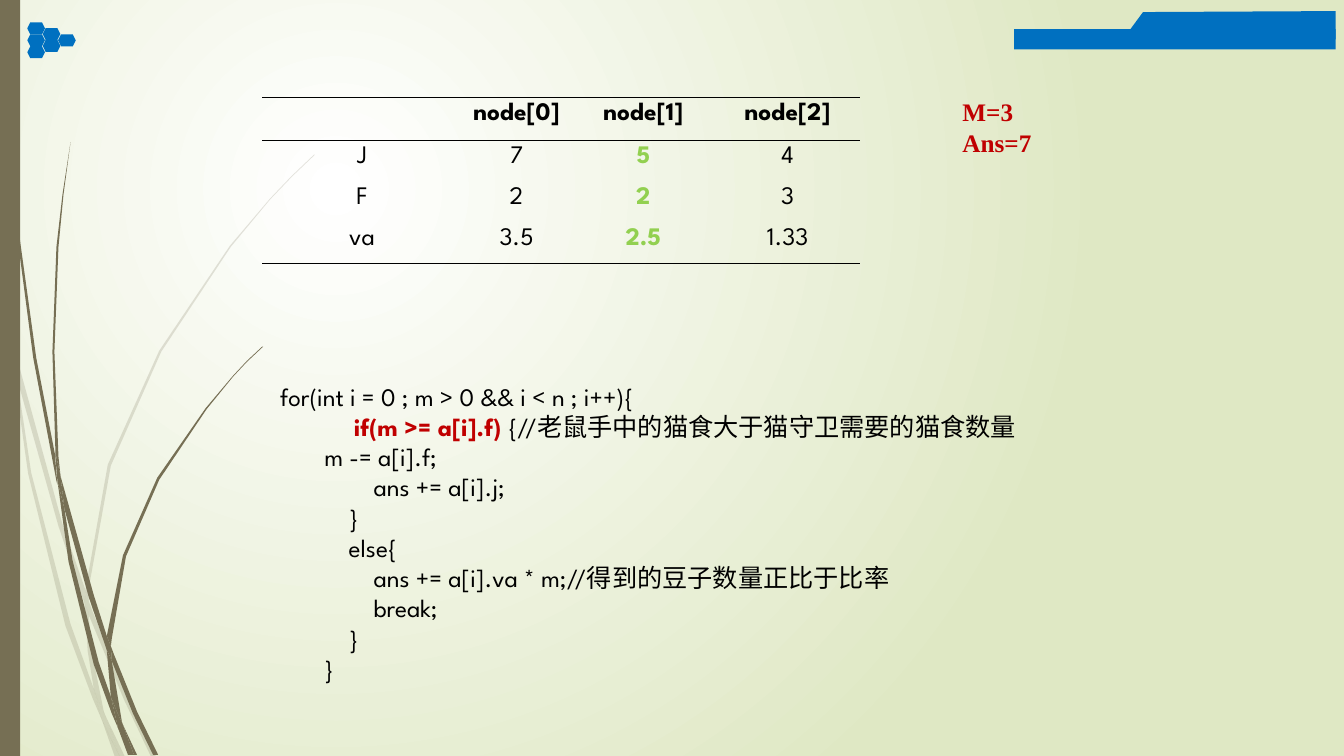
from lxml import etree
from pptx import Presentation
from pptx import util as u
from pptx.dml.color import RGBColor
from pptx.enum import shapes, text
from pptx.oxml import ns

Pt = u.Pt
BLACK = RGBColor(0x00, 0x00, 0x00)
WHITE = RGBColor(0xFF, 0xFF, 0xFF)
PALE_GREEN = RGBColor(0xDF, 0xE8, 0xC4)
BROWN = RGBColor(0x76, 0x6F, 0x54)
BLUE = RGBColor(0x00, 0x70, 0xC0)
RED = RGBColor(0xC0, 0x00, 0x00)
GREEN = RGBColor(0x92, 0xD0, 0x50)
SPARTAN = "League Spartan"
TIMES = "Times New Roman"
GRID = Pt(0.72)

PALE_GRASS = [
    [(11, 350), (9, 322), (0, 282), (0, 299), (10, 344)],
    [(58, 522), (84, 599), (85, 586), (62, 520), (14, 345), (17, 376)],
    [(92, 607), (88, 596), (88, 610), (123, 694), (150, 751), (155, 751), (127, 692)],
    [(119, 751), (124, 751), (105, 711)],
    [(93, 683), (70, 619), (31, 469), (17, 376), (11, 350), (28, 470), (65, 621),
     (92, 693), (101, 714), (99, 707)],
    [(84, 599), (87, 646), (93, 683), (96, 692), (105, 711), (103, 706), (91, 646),
     (88, 610), (88, 608)],
    [(88, 584), (110, 462), (160, 349), (229, 245), (268, 198), (290, 175), (312, 154),
     (312, 153), (289, 175), (268, 197), (228, 244), (158, 348), (107, 461), (85, 584),
     (85, 586), (88, 596)],
    [(101, 714), (114, 751), (119, 751)],
    [(88, 608), (88, 610), (88, 596), (85, 586), (84, 599)],
    [(96, 692), (93, 683), (99, 707), (101, 714), (119, 751), (105, 711)],
]
DARK_GRASS = [
    [(7, 110), (17, 233), (33, 355), (56, 477), (57, 481), (55, 457), (55, 453),
     (36, 355), (19, 232), (8, 109), (5, 48), (4, 0), (3, 0), (4, 48)],
    [(88, 592), (106, 645), (106, 633), (106, 631), (93, 590), (60, 472), (64, 505)],
    [(113, 649), (110, 641), (111, 656), (132, 708), (152, 749), (157, 749), (136, 706)],
    [(110, 691), (98, 657), (72, 556), (64, 505), (57, 477), (68, 557), (93, 659),
     (111, 708), (117, 722), (116, 717)],
    [(60, 472), (58, 453), (54, 349), (58, 245), (63, 193), (70, 141), (62, 193),
     (56, 245), (52, 349), (55, 449)],
    [(133, 749), (136, 749), (122, 719)],
    [(57, 477), (64, 505), (60, 472), (55, 449), (55, 453)],
    [(111, 633), (125, 552), (158, 476), (205, 406), (231, 374), (245, 359), (261, 344),
     (260, 344), (245, 358), (231, 373), (204, 405), (156, 474), (122, 551), (106, 631),
     (110, 641)],
    [(117, 722), (127, 749), (131, 749)],
    [(106, 645), (110, 691), (116, 706), (122, 719), (121, 716), (111, 656), (109, 651)],
    [(106, 645), (109, 651), (111, 656), (110, 641), (106, 631), (106, 633)],
    [(116, 706), (110, 691), (116, 717), (117, 722), (130, 749), (133, 749), (122, 719)],
]
BANNER_TAB = [(1325, 39), (1325, 11), (1134, 12), (1114, 39)]
HEXAGONS = [(19.5, 16), (19.5, 24.5), (19.5, 33), (30.5, 20), (30.5, 28.5), (41.5, 24.5)]

NODES = [
    ["", "node[0]", "node[1]", "node[2]"],
    ["J", "7", "5", "4"],
    ["F", "2", "2", "3"],
    ["va", "3.5", "2.5", "1.33"],
]
RESULT = [[("M=3", RED)], [("Ans=7", RED)]]
CODE = [
    [(" for(int i = 0 ; m > 0 && i < n ; i++){", BLACK)],
    [("            if(m >= a[i].f) ", RED), ("{//老鼠手中的猫食大于猫守卫需要的猫食数量", BLACK)],
    [("\tm -= a[i].f;", BLACK)],
    [("                ans += a[i].j;", BLACK)],
    [("            }", BLACK)],
    [("            else{", BLACK)],
    [("                ans += a[i].va * m;//得到的豆子数量正比于比率", BLACK)],
    [("                break;", BLACK)],
    [("            }", BLACK)],
    [("        }", BLACK)],
]


def paint_background(slide):
    fill = slide.background.fill
    fill.gradient()
    for stop, color in zip(fill.gradient_stops, (WHITE, PALE_GREEN)):
        stop.color.rgb = color
    gradient = slide.element.find(".//" + ns.qn("a:gradFill"))
    gradient.remove(gradient.find(ns.qn("a:lin")))
    circle = etree.SubElement(gradient, ns.qn("a:path"), path="circle")
    etree.SubElement(circle, ns.qn("a:fillToRect"),
                     l="50000", t="50000", r="100000", b="100000")


def paint(shape, color, opacity=100):
    shape.shadow.inherit = False
    shape.fill.solid()
    shape.fill.fore_color.rgb = color
    shape.line.fill.background()
    if opacity < 100:
        tint = shape.element.spPr.find(".//" + ns.qn("a:srgbClr"))
        etree.SubElement(tint, ns.qn("a:alpha"), val=str(opacity * 1000))


def add_outline(parent, points, color, opacity=100):
    builder = parent.shapes.build_freeform(*points[0], scale=GRID)
    builder.add_line_segments(points[1:], close=True)
    paint(builder.convert_to_shape(), color, opacity)


def add_grass(slide, blades, opacity):
    clump = slide.shapes.add_group_shape()
    for blade in blades:
        add_outline(clump, blade, BROWN, opacity)


def add_block(parent, kind, left, top, width, height, color):
    block = parent.shapes.add_shape(kind, Pt(left), Pt(top), Pt(width), Pt(height))
    paint(block, color)


def style_run(run, font, color, bold):
    run.font.name = font
    run.font.size = Pt(18)
    run.font.bold = bold
    run.font.color.rgb = color


def add_text(slide, left, top, width, height, lines, font, wrap):
    box = slide.shapes.add_textbox(Pt(left), Pt(top), Pt(width), Pt(height))
    frame = box.text_frame
    frame.word_wrap = wrap
    frame.auto_size = text.MSO_AUTO_SIZE.SHAPE_TO_FIT_TEXT
    for index, line in enumerate(lines):
        paragraph = frame.add_paragraph() if index else frame.paragraphs[0]
        for words, color in line:
            run = paragraph.add_run()
            run.text = words
            style_run(run, font, color, color == RED)


def add_rule(cell, side):
    rule = etree.SubElement(cell._tc.get_or_add_tcPr(), ns.qn("a:" + side), w=str(Pt(1)))
    fill = etree.SubElement(rule, ns.qn("a:solidFill"))
    etree.SubElement(fill, ns.qn("a:srgbClr"), val=str(BLACK))


def add_node_table(slide):
    frame = slide.shapes.add_table(4, 4, Pt(187.2), Pt(69.8), Pt(427), Pt(118.5))
    table = frame.table
    table.first_row = table.horz_banding = False
    style = frame.element.find(".//" + ns.qn("a:tableStyleId"))
    style.text = "{2D5ABB26-0587-4C30-8999-92F81FD0307C}"
    for column, width in zip(table.columns, (142.8, 78, 103.1, 103.1)):
        column.width = Pt(width)
    for row, height in zip(table.rows, (30.5, 29.3, 29.3, 29.3)):
        row.height = Pt(height)
    for r, values in enumerate(NODES):
        for c, value in enumerate(values):
            cell = table.cell(r, c)
            for side in {0: ("lnT", "lnB"), 3: ("lnB",)}.get(r, ()):
                add_rule(cell, side)
            cell.fill.background()
            cell.text_frame.text = value
            paragraph = cell.text_frame.paragraphs[0]
            paragraph.alignment = text.PP_ALIGN.CENTER
            chosen = r > 0 and c == 2
            for run in paragraph.runs:
                style_run(run, SPARTAN, GREEN if chosen else BLACK, r == 0 or chosen)


def main():
    deck = Presentation()
    deck.slide_width, deck.slide_height = Pt(960), Pt(540)
    slide = deck.slides.add_slide(deck.slide_layouts[6])
    paint_background(slide)
    add_grass(slide, PALE_GRASS, 20)
    add_grass(slide, DARK_GRASS, 100)
    rectangle = shapes.MSO_SHAPE.RECTANGLE
    add_block(slide, rectangle, 0, 0, 14.4, 540, BROWN)
    add_block(slide, rectangle, 724.3, 20.9, 229.7, 14.4, BLUE)
    honeycomb = slide.shapes.add_group_shape()
    for left, top in HEXAGONS:
        add_block(honeycomb, shapes.MSO_SHAPE.HEXAGON, left, top, 12.6, 8.6, BLUE)
    add_outline(slide, BANNER_TAB, BLUE)
    add_node_table(slide)
    add_text(slide, 680.4, 65.5, 64, 72.7, RESULT, TIMES, False)
    add_text(slide, 188.6, 268.6, 622.8, 225.4, CODE, SPARTAN, True)
    deck.save("out.pptx")


if __name__ == "__main__":
    main()
